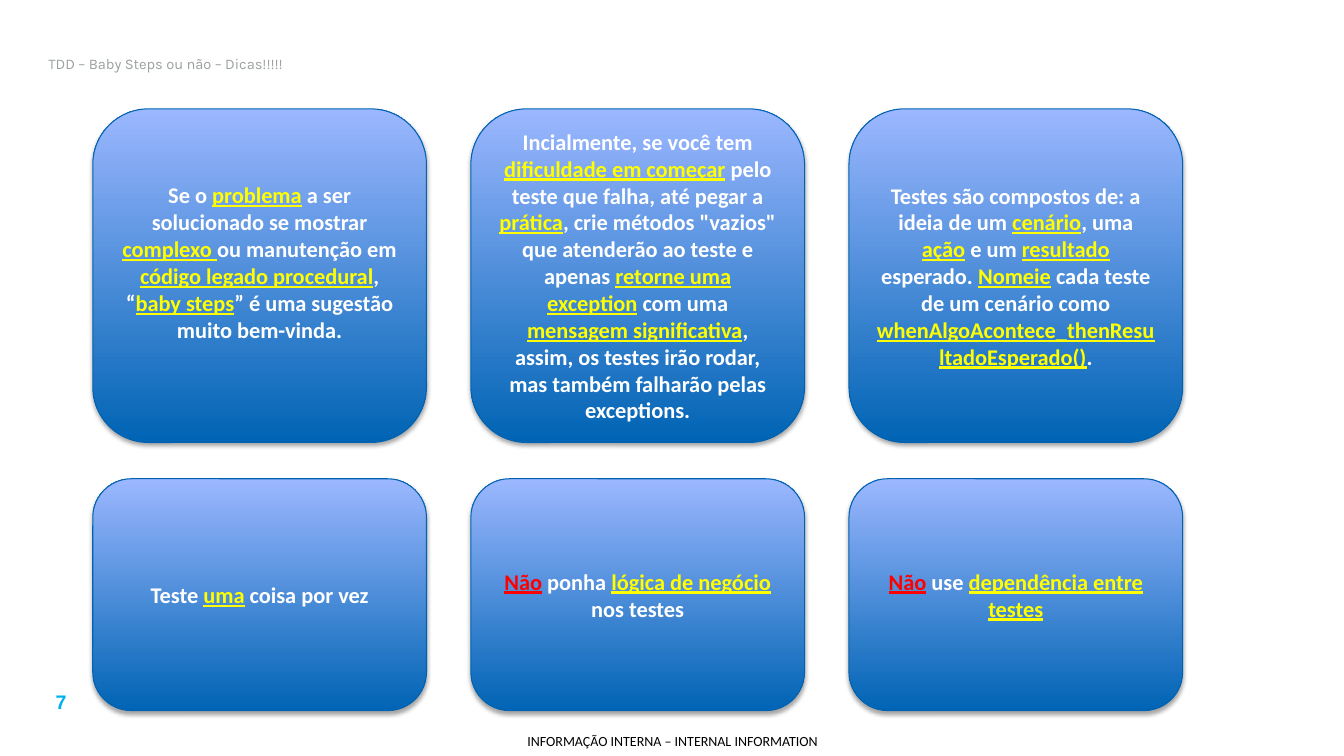
import pptx
import pptx.util
import pptx.dml.color
import pptx.enum.shapes
import pptx.enum.text
import pptx.oxml

Inches = pptx.util.Inches
Pt = pptx.util.Pt
RGBColor = pptx.dml.color.RGBColor
Anchor = pptx.enum.text.MSO_ANCHOR
Align = pptx.enum.text.PP_ALIGN

THEME = {
    "card_bottom": RGBColor.from_string("0064B4"),
    "card_top": RGBColor.from_string("9BB7FF"),
    "card_line": RGBColor.from_string("0062B0"),
    "title": {"name": "Karla", "size": Pt(10.5), "bold": False, "color": "9BA0A0"},
    "number": {"name": "Arial", "size": Pt(14), "bold": True, "color": "00B0F0"},
    "footer": {"name": "Calibri", "size": Pt(10), "bold": False, "color": "000000"},
    "plain": {"name": "Calibri", "size": Pt(16), "bold": True, "underline": False, "color": "FFFFFF"},
    "key": {"name": "Calibri", "size": Pt(16), "bold": True, "underline": True, "color": "FFFF00"},
    "warning": {"name": "Calibri", "size": Pt(16), "bold": True, "underline": True, "color": "FF0000"},
}

SHADOW = (
    '<a:outerShdw xmlns:a="http://schemas.openxmlformats.org/drawingml/2006/main" '
    'blurRad="40000" dist="23000" dir="5400000" rotWithShape="0">'
    '<a:srgbClr val="000000"><a:alpha val="35000"/></a:srgbClr></a:outerShdw>'
)


def add_run(paragraph, text, style):
    run = paragraph.add_run()
    run.text = text
    for attribute, value in THEME[style].items():
        if attribute == "color":
            run.font.color.rgb = RGBColor.from_string(value)
        else:
            setattr(run.font, attribute, value)


def format_frame(text_frame, **settings):
    text_frame.word_wrap = True
    for attribute, value in settings.items():
        setattr(text_frame, attribute, value)


presentation = pptx.Presentation()
presentation.slide_width = Inches(13.33)
presentation.slide_height = Inches(7.5)
slide = presentation.slides.add_slide(presentation.slide_layouts[5])

title = slide.shapes.title
title.left, title.top, title.width, title.height = map(Inches, (0.38, 0.38, 11.88, 0.5))
format_frame(title.text_frame, vertical_anchor=Anchor.MIDDLE, auto_size=pptx.enum.text.MSO_AUTO_SIZE.NONE)
title.text_frame.paragraphs[0].alignment = Align.LEFT
add_run(title.text_frame.paragraphs[0], "TDD – Baby Steps ou não – Dicas!!!!!", "title")

labels = [
    ("7", "number", (0.21, 6.8, 0.79, 0.34), {}),
    ("INFORMAÇÃO INTERNA – INTERNAL INFORMATION", "footer", (5.03, 7.21, 3.28, 0.29),
     {"vertical_anchor": Anchor.MIDDLE, "margin_left": 0, "margin_right": 0,
      "margin_top": 0, "margin_bottom": 0}),
]
for text, style, box, settings in labels:
    label = slide.shapes.add_textbox(*map(Inches, box))
    format_frame(label.text_frame, **settings)
    label.text_frame.paragraphs[0].alignment = Align.CENTER
    add_run(label.text_frame.paragraphs[0], text, style)

# Asterisks enclose the highlighted words.
card_rows = [
    (1.08, 3.31, [
        "Se o *problema* a ser solucionado se mostrar *complexo *ou manutenção em"
        "* código legado procedural*, “*baby steps*” é uma sugestão muito bem-vinda.",
        "Incialmente, se você tem *dificuldade em começar* pelo teste que falha, até pegar a "
        "*prática*, crie métodos \"vazios\" que atenderão ao teste e apenas *retorne uma exception* "
        "com uma *mensagem significativa*, assim, os testes irão rodar, mas também falharão "
        "pelas exceptions.",
        "Testes são compostos de: a ideia de um *cenário*, uma *ação* e um *resultado* esperado. "
        "*Nomeie* cada teste de um cenário como *whenAlgoAcontece_thenResultadoEsperado()*.",
    ]),
    (4.75, 2.3, [
        "Teste *uma* coisa por vez",
        "*Não* ponha *lógica de negócio *nos testes",
        "*Não* use *dependência entre testes*",
    ]),
]
card_left, card_width, card_pitch = 0.92, 3.31, 3.75

for top, height, tips in card_rows:
    for column, tip in enumerate(tips):
        card = slide.shapes.add_shape(
            pptx.enum.shapes.MSO_SHAPE.ROUNDED_RECTANGLE,
            Inches(card_left + column * card_pitch), Inches(top),
            Inches(card_width), Inches(height))
        card.fill.gradient()
        card.fill.gradient_angle = 90
        for stop, position, color in zip(card.fill.gradient_stops, (0, 1), ("card_bottom", "card_top")):
            stop.position = position
            stop.color.rgb = THEME[color]
        card.line.color.rgb = THEME["card_line"]
        card.line.width = Pt(0.75)
        card.shadow.inherit = False
        effects = card._element.spPr.find(pptx.oxml.ns.qn("a:effectLst"))
        effects.append(pptx.oxml.parse_xml(SHADOW))

        first_card = tip.startswith("Se o")
        format_frame(card.text_frame, vertical_anchor=Anchor.MIDDLE,
                     margin_bottom=Inches(0.32 if first_card else 0.05))
        paragraph = card.text_frame.paragraphs[0]
        paragraph.alignment = Align.CENTER
        for index, part in enumerate(tip.split("*")):
            if part:
                style = "warning" if part == "Não" else "key" if index % 2 else "plain"
                add_run(paragraph, part, style)

presentation.save("out.pptx")
